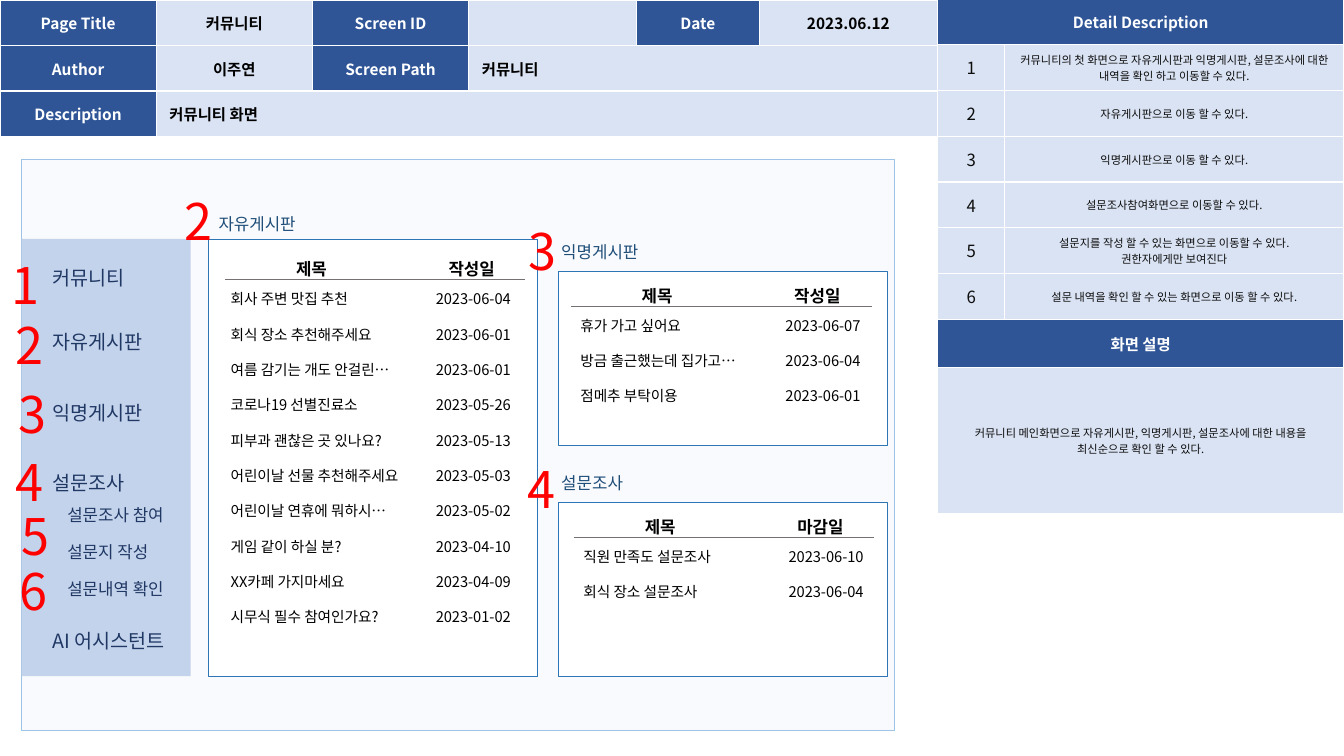
import pptx
import pptx.util
import pptx.dml.color
import pptx.enum.shapes
import pptx.enum.text
import pptx.oxml
import pptx.oxml.ns
from lxml import etree

Pt = pptx.util.Pt
RGB = pptx.dml.color.RGBColor.from_string
ALIGN = pptx.enum.text.PP_ALIGN
MIDDLE = pptx.enum.text.MSO_ANCHOR.MIDDLE
SHAPE = pptx.enum.shapes.MSO_SHAPE
qn = pptx.oxml.ns.qn

FONT = "Noto Sans CJK KR"
NO_GRID_STYLE = "{2D5ABB26-0587-4C30-8999-92F81FD0307C}"
COLORS = {
    "navy": "2F5597", "pale": "DAE3F3", "white": "FFFFFF", "black": "000000",
    "ink": "0D0D0D", "canvas": "F9FAFD", "canvas_line": "9DC3E6",
    "panel_line": "2E75B6", "heading": "1F4E79", "rule": "767171",
    "menu": "B4C7E7", "menu_text": "203864", "marker": "FF0000",
}

deck = pptx.Presentation()
deck.slide_width, deck.slide_height = Pt(960), Pt(540)
page = deck.slides.add_slide(deck.slide_layouts[6])


def write(frame, lines, size, color, bold=False, align=ALIGN.LEFT, gaps=None, leading=None):
    frame.word_wrap = True
    for index, line in enumerate(lines):
        para = frame.paragraphs[0] if index == 0 else frame.add_paragraph()
        para.text = line
        para.alignment = align
        if leading:
            para.line_spacing = Pt(round(size * leading, 1))
        if gaps and index:
            para.space_before = Pt(gaps[index - 1])
        para.font.size = Pt(size)
        para.font.bold = bold
        para.font.color.rgb = RGB(COLORS[color])
        para.font.name = FONT
        defaults = para._p.pPr.find(qn("a:defRPr"))
        etree.SubElement(defaults, qn("a:ea")).set("typeface", FONT)


def add_box(left, top, width, height, lines, size, color, gaps=None, leading=1.2):
    box = page.shapes.add_textbox(Pt(left), Pt(top), Pt(width), Pt(height))
    write(box.text_frame, lines, size, color, gaps=gaps, leading=leading)


header_rows = [
    ["Page Title", "커뮤니티", "Screen ID", "", "Date", "2023.06.12"],
    ["Author", "이주연", "Screen Path", "커뮤니티", "", ""],
    ["Description", "커뮤니티 화면", "", "", "", ""],
]
header_labels = {"Page Title", "Screen ID", "Date", "Author", "Screen Path", "Description"}
header = page.shapes.add_table(3, 6, 0, 0, Pt(669.7), Pt(97.5)).table
header.first_row = header.horz_banding = False
for column, width in zip(header.columns, [111.6, 111.6, 111.6, 119.8, 87.8, 127.3]):
    column.width = Pt(width)
for row, texts in enumerate(header_rows):
    header.rows[row].height = Pt(32.5)
    for column, text in enumerate(texts):
        cell = header.cell(row, column)
        label = text in header_labels
        cell.fill.solid()
        cell.fill.fore_color.rgb = RGB(COLORS["navy" if label else "pale"])
        cell.margin_left = cell.margin_right = Pt(9.4)
        cell.margin_top = cell.margin_bottom = Pt(3)
        cell.vertical_anchor = MIDDLE
        wide = (row, column) in [(1, 3), (2, 1)]
        if text:
            write(cell.text_frame, [text], 11, "white" if label else "black", True,
                  ALIGN.LEFT if wide else ALIGN.CENTER)
header.cell(1, 3).merge(header.cell(1, 5))
header.cell(2, 1).merge(header.cell(2, 5))

detail_rows = [
    ["Detail Description"],
    ["1", "커뮤니티의 첫 화면으로 자유게시판과 익명게시판, 설문조사에 대한 내역을 확인 하고 이동할 수 있다."],
    ["2", "자유게시판으로 이동 할 수 있다."],
    ["3", "익명게시판으로 이동 할 수 있다."],
    ["4", "설문조사참여화면으로 이동할 수 있다."],
    ["5", "설문지를 작성 할 수 있는 화면으로 이동할 수 있다.\n권한자에게만 보여진다"],
    ["6", "설문 내역을 확인 할 수 있는 화면으로 이동 할 수 있다."],
    ["화면 설명"],
    ["커뮤니티 메인화면으로 자유게시판, 익명게시판, 설문조사에 대한 내용을 최신순으로 확인 할 수 있다."],
]
detail = page.shapes.add_table(9, 2, Pt(669.7), Pt(-0.7), Pt(290.3), Pt(367.9)).table
detail.horz_banding = False
detail.columns[0].width, detail.columns[1].width = Pt(48), Pt(242.3)
for row, texts in enumerate(detail_rows):
    detail.rows[row].height = Pt({7: 34.4, 8: 104.6}.get(row, 32.7))
    if len(texts) == 1:
        detail.cell(row, 0).merge(detail.cell(row, 1))
    for column, text in enumerate(texts):
        cell = detail.cell(row, column)
        title = row in (0, 7)
        cell.fill.solid()
        cell.fill.fore_color.rgb = RGB(COLORS["navy" if title else "pale"])
        cell.margin_left = cell.margin_right = Pt(7.2 if column else 9.4)
        cell.margin_top = cell.margin_bottom = Pt(3)
        cell.vertical_anchor = MIDDLE
        size = 11 if title else 12 if len(texts) == 2 and column == 0 else 8
        write(cell.text_frame, text.split("\n"), size, "white" if title else "ink",
              title, ALIGN.CENTER)

canvas = page.shapes.add_shape(SHAPE.RECTANGLE, Pt(15.1), Pt(113.8), Pt(623.5), Pt(408.2))
canvas.shadow.inherit = False
canvas.fill.solid()
canvas.fill.fore_color.rgb = RGB(COLORS["canvas"])
canvas.line.color.rgb = RGB(COLORS["canvas_line"])
canvas.line.width = Pt(0.5)

boards = [
    {"name": "자유게시판", "name_at": (149, 149), "panel": (149, 170.6, 312.5),
     "table": (146.9, 179.3), "rule": (160.6, 199.4), "list": (157.7, 203.8), "date": "작성일",
     "posts": [("회사 주변 맛집 추천", "2023-06-04"), ("회식 장소 추천해주세요", "2023-06-01"),
               ("여름 감기는 개도 안걸린…", "2023-06-01"), ("코로나19 선별진료소", "2023-05-26"),
               ("피부과 괜찮은 곳 있나요?", "2023-05-13"), ("어린이날 선물 추천해주세요", "2023-05-03"),
               ("어린이날 연휴에 뭐하시…", "2023-05-02"), ("게임 같이 하실 분?", "2023-04-10"),
               ("XX카페 가지마세요", "2023-04-09"), ("시무식 필수 참여인가요?", "2023-01-02")]},
    {"name": "익명게시판", "name_at": (393.8, 169.2), "panel": (398.9, 193.7, 124.6),
     "table": (393.8, 198.7), "rule": (408.2, 218.9), "list": (407.5, 222.5), "date": "작성일",
     "posts": [("휴가 가고 싶어요", "2023-06-07"), ("방금 출근했는데 집가고…", "2023-06-04"),
               ("점메추 부탁이용", "2023-06-01")]},
    {"name": "설문조사", "name_at": (393.8, 334.1), "panel": (398.9, 358.6, 124.6),
     "table": (396, 363.6), "rule": (409.7, 383.8), "list": (409.7, 387.4), "date": "마감일",
     "posts": [("직원 만족도 설문조사", "2023-06-10"), ("회식 장소 설문조사", "2023-06-04")]},
]
for board in boards:
    left, top, height = board["panel"]
    panel = page.shapes.add_shape(SHAPE.ROUNDED_RECTANGLE, Pt(left), Pt(top), Pt(234.7), Pt(height))
    panel.adjustments[0] = 0
    panel.shadow.inherit = False
    panel.fill.solid()
    panel.fill.fore_color.rgb = RGB(COLORS["white"])
    panel.line.color.rgb = RGB(COLORS["panel_line"])
    panel.line.width = Pt(0.25)
    add_box(*board["name_at"], 171.4, 21.6, [board["name"]], 12, "heading")

for board in boards:
    left, top = board["table"]
    heads = page.shapes.add_table(3, 2, Pt(left), Pt(top), Pt(229), Pt(80.6)).table
    heads.first_row = heads.horz_banding = False
    heads._tbl.tblPr.find(qn("a:tableStyleId")).text = NO_GRID_STYLE
    for column, width in zip(heads.columns, [151.2, 77.8]):
        column.width = Pt(width)
    for row, height in zip(heads.rows, [14.4, 14.4, 38.9]):
        row.height = Pt(height)
    for cell in heads.iter_cells():
        cell.fill.background()
    for column, text in enumerate(["제목", board["date"]]):
        write(heads.cell(0, column).text_frame, [text], 12, "black", True, ALIGN.CENTER)

    left, top = board["rule"]
    rule = page.shapes.add_connector(pptx.enum.shapes.MSO_CONNECTOR.STRAIGHT,
                                     Pt(left), Pt(top), Pt(left + 214.6), Pt(top))
    rule.line.color.rgb = RGB(COLORS["rule"])
    rule.line.width = Pt(0.5)
    etree.SubElement(rule._element.spPr, qn("a:effectLst"))

    left, top = board["list"]
    titles, dates = zip(*board["posts"])
    gaps = [12.6] * (len(titles) - 1)
    height = 25.2 * len(titles) - 5.4
    add_box(left, top, 147, height, titles, 10.5, "black", gaps)
    add_box(left + 146.5, top, 75, height, dates, 10.5, "black", gaps)

menu = page.shapes.add_shape(SHAPE.RECTANGLE, Pt(15.1), Pt(170.6), Pt(121), Pt(312.5))
menu.shadow.inherit = False
menu.fill.solid()
menu.fill.fore_color.rgb = RGB(COLORS["menu"])
menu_color = menu._element.spPr.find(qn("a:solidFill"))[0]
etree.SubElement(menu_color, qn("a:alpha")).set("val", "76000")
menu.line.fill.background()
add_box(30.2, 186.5, 185.8, 285.8,
        ["커뮤니티", "자유게시판", "익명게시판", "설문조사", "AI 어시스턴트"],
        14, "menu_text", [28.8, 33.6, 33.6, 96])
add_box(41, 357.1, 185.8, 74.9, ["설문조사 참여", "설문지 작성", "설문내역 확인"],
        12, "menu_text", [12, 12])

markers = [
    ("1", 1.4, 176.4), ("2", 4.3, 218.9), ("3", 6.5, 268.6), ("4", 4.3, 316.8),
    ("5", 8.6, 355.7), ("6", 7.2, 394.6), ("4", 369.4, 321.8), ("3", 370.8, 151.9),
    ("2", 124.6, 130.3),
]
for number, left, top in markers:
    add_box(left, top, 46.1, 51.1, [number], 36, "marker", leading=1.25)

deck.save("out.pptx")
